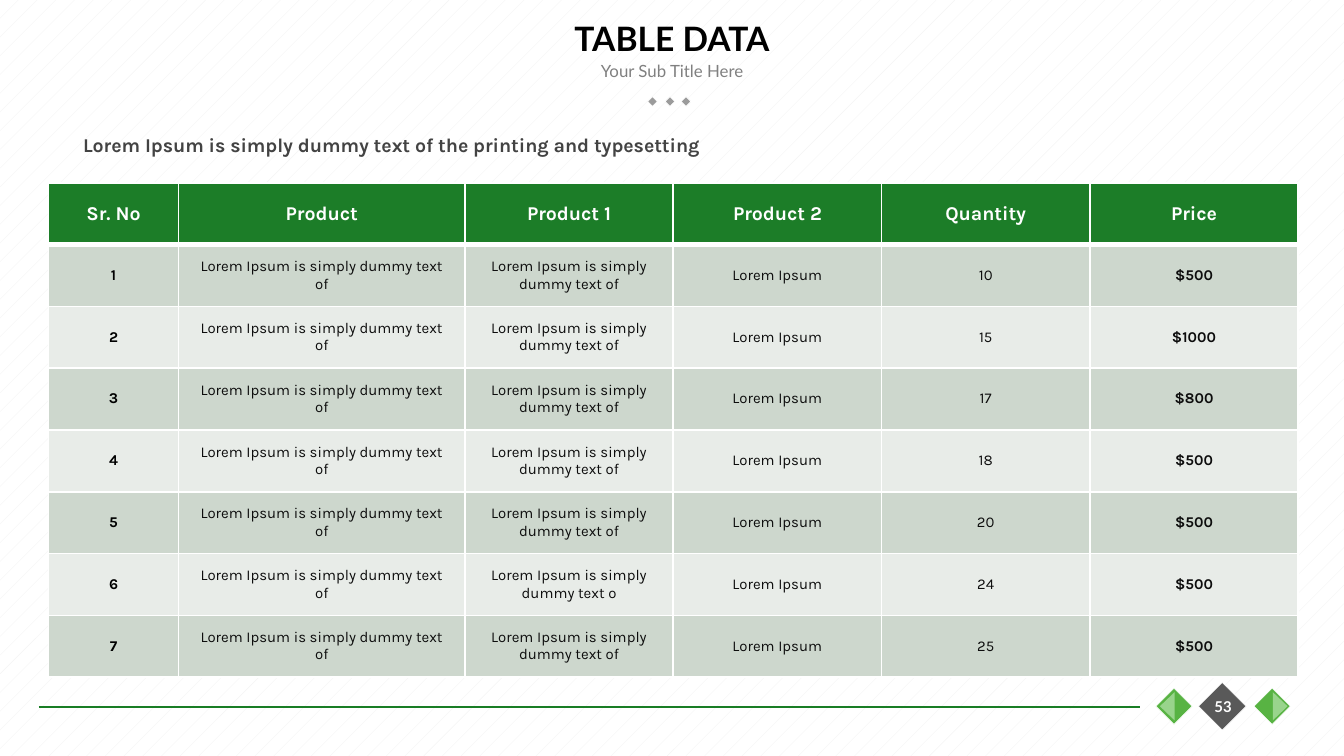
"""Build a slide with a product table, a title and a page footer."""
from lxml.etree import SubElement
from pptx import Presentation
from pptx.dml.color import RGBColor
from pptx.enum.dml import MSO_PATTERN
from pptx.enum.shapes import MSO_CONNECTOR, MSO_SHAPE
from pptx.enum.text import MSO_ANCHOR, PP_ALIGN
from pptx.oxml import parse_xml
from pptx.oxml.ns import nsdecls, qn
from pptx.util import Inches, Pt

COLORS = {
    "white": "FFFFFF", "black": "000000", "ink": "0D0D0D", "heading": "434343",
    "muted": "808080", "dot": "9B9B9B", "badge": "595959", "rule": "197D25",
    "header": "1C7D28", "odd": "CDD7CD", "even": "E8ECE8",
    "leaf": "58B343", "light": "99D48C", "hatch": "F2F2F2",
}

LOREM = "Lorem Ipsum is simply dummy text of"
HEADER = ["Sr. No", "Product", "Product 1", "Product 2", "Quantity", "Price"]
ITEMS = [
    (LOREM, "10", "$500"),
    (LOREM, "15", "$1000"),
    (LOREM, "17", "$800"),
    (LOREM, "18", "$500"),
    (LOREM, "20", "$500"),
    ("Lorem Ipsum is simply dummy text o", "24", "$500"),
    (LOREM, "25", "$500"),
]
WIDTHS = [0.97, 2.13, 1.55, 1.55, 1.55, 1.55]
ROW = 0.46

CENTER, LEFT = PP_ALIGN.CENTER, PP_ALIGN.LEFT
MIDDLE, TOP = MSO_ANCHOR.MIDDLE, MSO_ANCHOR.TOP
LABELS = [
    ("Your Sub Title Here", (3.75, 0.4, 2.5, 0.25), "Lato", 9, "muted", False, CENTER, MIDDLE),
    ("TABLE DATA", (0.75, 0, 8.5, 0.56), "Lato", 18, "black", True, CENTER, MIDDLE),
    ("53", (8.89, 5.13, 0.42, 0.25), "Lato", 8, "white", True, CENTER, MIDDLE),
    ("Lorem Ipsum is simply dummy text of the printing and typesetting",
     (0.52, 0.91, 5.43, 0.31), "Karla", 10.5, "heading", True, LEFT, TOP),
]
DIAMONDS = [(x, 0.73, 0.05, "dot") for x in (4.83, 4.96, 5.08)] + [
    (8.97, 5.13, 0.25, "badge"),
    (9.37, 5.16, 0.19, "leaf"),
    (8.64, 5.16, 0.19, "leaf"),
]
HALVES = [(9.42, 90), (8.58, 270)]


def shade(name):
    return RGBColor.from_string(COLORS[name])


def write(para, text, font, size, color, bold, align=CENTER):
    para.alignment = align
    run = para.add_run()
    run.text = text
    run.font.name = font
    run.font.size = Pt(size)
    run.font.bold = bold
    run.font.color.rgb = shade(color)


def label(slide, text, box, font, size, color, bold, align, anchor):
    frame = slide.shapes.add_textbox(*map(Inches, box)).text_frame
    frame.word_wrap = True
    frame.vertical_anchor = anchor
    write(frame.paragraphs[0], text, font, size, color, bold, align)
    return frame


def turned(slide, kind, box, angle, color, edge):
    shape = slide.shapes.add_shape(kind, *map(Inches, box))
    shape.shadow.inherit = False
    shape.rotation = angle
    shape.fill.solid()
    shape.fill.fore_color.rgb = shade(color)
    if edge:
        shape.line.color.rgb = shade("white")
        shape.line.width = Pt(0.25)
    else:
        shape.line.fill.background()


def border(cell, top, bottom):
    props = cell._tc.get_or_add_tcPr()
    sides = [("L", 1), ("R", 1), ("T", top), ("B", bottom)]
    for spot, (side, width) in enumerate(sides):
        props.insert(spot, parse_xml(
            f'<a:ln{side} {nsdecls("a")} w="{Pt(width)}"><a:solidFill>'
            f'<a:srgbClr val="{COLORS["white"]}"/></a:solidFill></a:ln{side}>'))


def fill_table(slide):
    rows = [HEADER] + [
        [str(num), LOREM, text, "Lorem Ipsum", count, price]
        for num, (text, count, price) in enumerate(ITEMS, 1)
    ]
    table = slide.shapes.add_table(
        len(rows), len(WIDTHS), Inches(0.36), Inches(1.36),
        Inches(sum(WIDTHS)), Inches(ROW * len(rows))).table
    for col, width in zip(table.columns, WIDTHS):
        col.width = Inches(width)
    for r, row in enumerate(rows):
        table.rows[r].height = Inches(ROW)
        back = "header" if r == 0 else "odd" if r % 2 else "even"
        for c, text in enumerate(row):
            cell = table.cell(r, c)
            cell.vertical_anchor = MIDDLE
            cell.fill.solid()
            cell.fill.fore_color.rgb = shade(back)
            border(cell, 3 if r == 1 else 1, 3 if r == 0 else 1)
            color = "white" if r == 0 else "black" if c == 0 else "ink"
            bold = r == 0 or c in (0, len(row) - 1)
            write(cell.text_frame.paragraphs[0], text, "Karla",
                  8 if r else 10.5, color, bold)


def main():
    deck = Presentation()
    deck.slide_width, deck.slide_height = Inches(10), Inches(10 * 9 / 16)
    slide = deck.slides.add_slide(deck.slide_layouts[6])
    back = slide.background.fill
    back.patterned()
    back.pattern = MSO_PATTERN.PERCENT_5
    back.fore_color.rgb = shade("hatch")
    back.back_color.rgb = shade("white")

    rule = slide.shapes.add_connector(
        MSO_CONNECTOR.STRAIGHT, Inches(0.29), Inches(5.26), Inches(8.48), Inches(5.26))
    rule.line.color.rgb = shade("rule")
    rule.line.width = Pt(0.75)
    SubElement(rule._element.spPr, qn("a:effectLst"))

    for x, y, side, color in DIAMONDS:
        turned(slide, MSO_SHAPE.RECTANGLE, (x, y, side, side), 315, color, True)
    for x, angle in HALVES:
        turned(slide, MSO_SHAPE.FLOWCHART_EXTRACT, (x, 5.2, 0.21, 0.11), angle, "light", False)
    frames = [label(slide, *item) for item in LABELS]
    frames[-1].paragraphs[0].line_spacing = Pt(15)
    fill_table(slide)
    deck.save("out.pptx")


if __name__ == "__main__":
    main()
